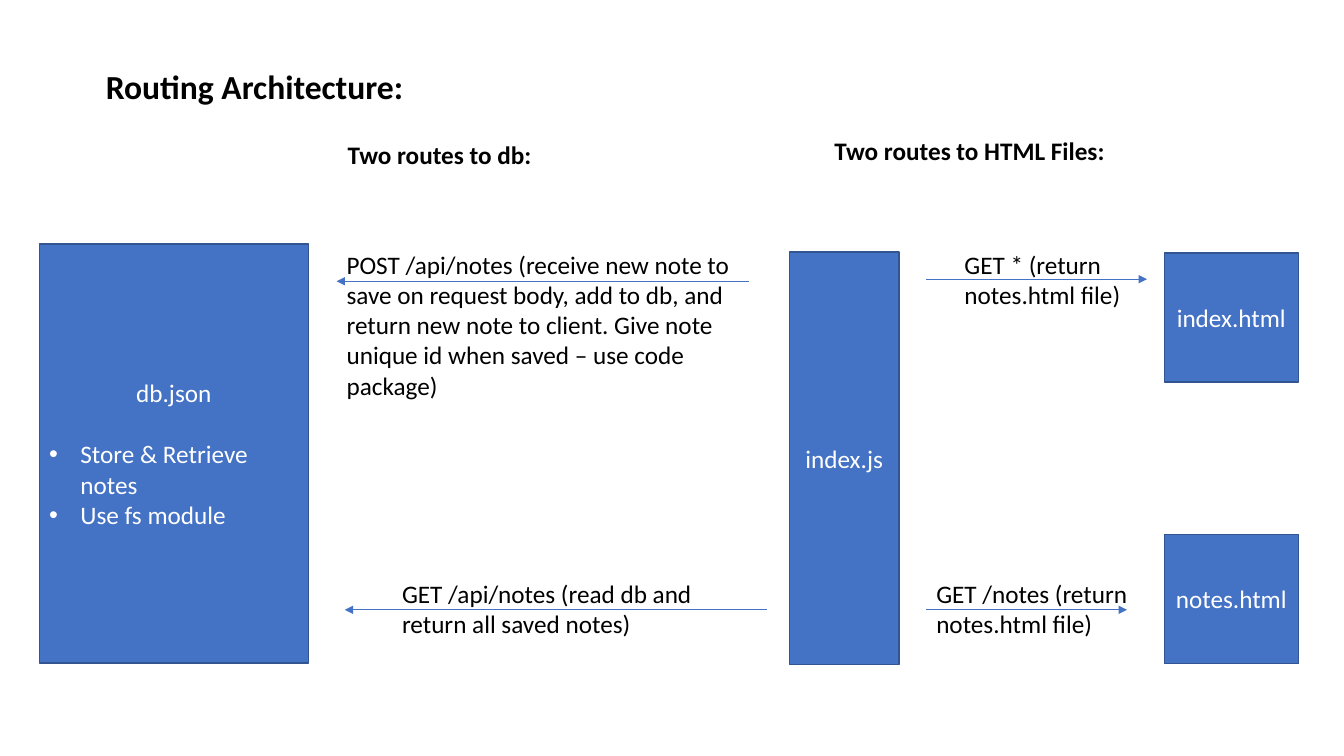
import pptx
import pptx.util
import pptx.dml.color
import pptx.enum.shapes
import pptx.enum.text
import pptx.oxml
import pptx.oxml.ns
import lxml.etree

COLORS = {"fill": "4472C4", "edge": "325491", "light": "FFFFFF", "dark": "000000"}
ALIGN = pptx.enum.text.PP_ALIGN
ANCHOR = pptx.enum.text.MSO_ANCHOR

deck = pptx.Presentation()
deck.slide_width = pptx.util.Inches(13.33)
deck.slide_height = pptx.util.Inches(7.5)
page = deck.slides.add_slide(deck.slide_layouts[5])

# Grid of 160 columns by 90 rows
COLUMN = deck.slide_width / 160
ROW = deck.slide_height / 90


def place(left, top, width, height):
    return (round(left * COLUMN), round(top * ROW),
            round(width * COLUMN), round(height * ROW))


def style(para, color, size=18, bold=False, align=ALIGN.LEFT):
    para.alignment = align
    for span in para.runs:
        span.font.name = "Calibri"
        span.font.size = pptx.util.Pt(size)
        span.font.bold = bold
        span.font.color.rgb = pptx.dml.color.RGBColor.from_string(COLORS[color])


# Title
title = page.shapes.title
title.left, title.top, title.width, title.height = place(11.4, 7.2, 38.16, 6)
title.text_frame.text = "Routing Architecture:"
title.text_frame.word_wrap = False
title.text_frame.vertical_anchor = ANCHOR.TOP
style(title.text_frame.paragraphs[0], "dark", 24, True)

# File boxes: the first line is the file name, further lines are bullets
files = [
    (["db.json", "Store & Retrieve notes", "Use fs module"], (4.68, 29.04, 32.04, 49.92)),
    (["index.js"], (93.96, 30, 13.08, 49.08)),
    (["index.html"], (138.6, 30.12, 15.96, 15.36)),
    (["notes.html"], (138.6, 63.6, 15.96, 15.36)),
]
for lines, cells in files:
    box = page.shapes.add_shape(pptx.enum.shapes.MSO_SHAPE.RECTANGLE, *place(*cells))
    box.shadow.inherit = False
    box.fill.solid()
    box.fill.fore_color.rgb = pptx.dml.color.RGBColor.from_string(COLORS["fill"])
    box.line.color.rgb = pptx.dml.color.RGBColor.from_string(COLORS["edge"])
    box.line.width = pptx.util.Pt(1)
    frame = box.text_frame
    frame.text = "\n".join(lines)
    frame.word_wrap = True
    frame.vertical_anchor = ANCHOR.MIDDLE
    name, *bullets = frame.paragraphs
    style(name, "light", align=ALIGN.CENTER)
    if bullets:
        name.space_after = pptx.util.Pt(22)
    for para in bullets:
        style(para, "light")
        props = para._p.get_or_add_pPr()
        indent = pptx.util.Inches(0.31)
        props.set("marL", str(indent))
        props.set("indent", str(-indent))
        for tag, key, value in [("a:buFont", "typeface", "Arial"), ("a:buChar", "char", "•")]:
            lxml.etree.SubElement(props, pptx.oxml.ns.qn(tag)).set(key, value)

# Route arrows: start column, end column, row
arrows = [
    (89.16, 40.08, 33.48),
    (91.32, 41.04, 72.6),
    (110.28, 136.56, 33.24),
    (110.28, 134.16, 72.6),
]
for start, end, row in arrows:
    arrow = page.shapes.add_connector(
        pptx.enum.shapes.MSO_CONNECTOR.STRAIGHT,
        round(start * COLUMN), round(row * ROW), round(end * COLUMN), round(row * ROW))
    arrow.line.color.rgb = pptx.dml.color.RGBColor.from_string(COLORS["fill"])
    arrow.line.width = pptx.util.Pt(0.5)
    head = lxml.etree.SubElement(arrow.line._get_or_add_ln(), pptx.oxml.ns.qn("a:tailEnd"))
    head.set("type", "triangle")
    lxml.etree.SubElement(arrow._element.spPr, pptx.oxml.ns.qn("a:effectLst"))

# Headings (bold, one line) and route descriptions (wrapped)
labels = [
    ("Two routes to db:", True, (40.2, 15.96, 24.48, 4.8)),
    ("Two routes to HTML Files:", True, (98.16, 15.48, 34.8, 4.8)),
    ("POST /api/notes (receive new note to save on request body, add to db, and return "
     "new note to client. Give note unique id when saved – use code package)",
     False, (40.08, 29.04, 50.4, 19.44)),
    ("GET /api/notes (read db and return all saved notes)", False, (46.68, 68.28, 44.88, 8.52)),
    ("GET * (return notes.html file)", False, (113.64, 29.04, 22.2, 8.52)),
    ("GET /notes (return notes.html file)", False, (110.28, 68.28, 27.48, 8.52)),
]
for text, heading, cells in labels:
    label = page.shapes.add_textbox(*place(*cells))
    label.text_frame.text = text
    label.text_frame.word_wrap = not heading
    style(label.text_frame.paragraphs[0], "dark", bold=heading)

deck.save("out.pptx")
